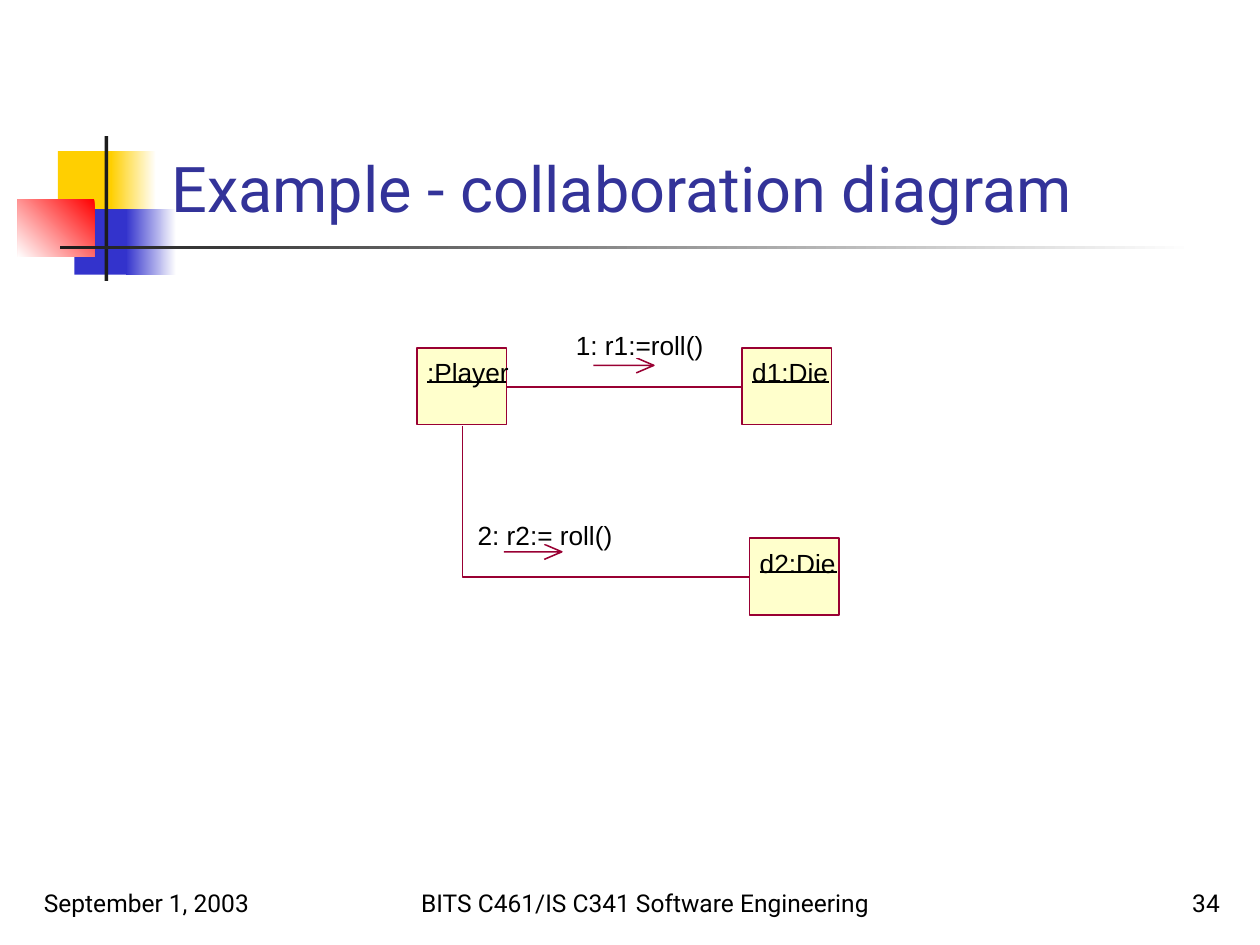
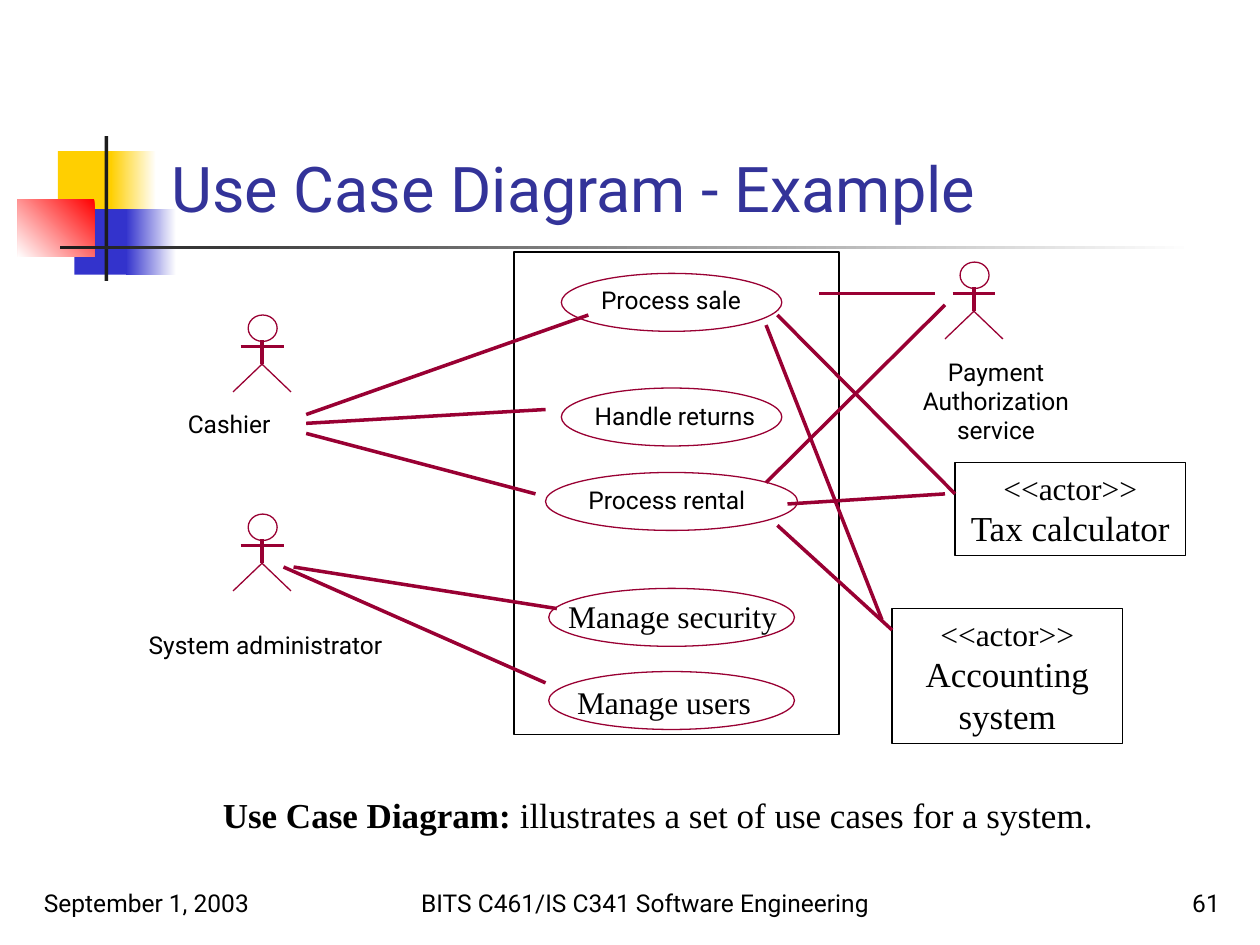
from dataclasses import dataclass

from lxml import etree
from pptx import Presentation
from pptx.dml.color import RGBColor
from pptx.enum.shapes import MSO_CONNECTOR, MSO_SHAPE
from pptx.enum.text import MSO_ANCHOR, MSO_AUTO_SIZE, PP_ALIGN
from pptx.oxml.ns import qn
from pptx.util import Inches, Pt

RECT, OVAL = MSO_SHAPE.RECTANGLE, MSO_SHAPE.OVAL
STRAIGHT = MSO_CONNECTOR.STRAIGHT
LEFT, CENTER, RIGHT = PP_ALIGN.LEFT, PP_ALIGN.CENTER, PP_ALIGN.RIGHT
TOP, BOTTOM = MSO_ANCHOR.TOP, MSO_ANCHOR.BOTTOM
FIXED, GROW = MSO_AUTO_SIZE.NONE, MSO_AUTO_SIZE.SHAPE_TO_FIT_TEXT


@dataclass(frozen=True)
class Theme:
    title: str = "333399"
    text: str = "000000"
    stroke: str = "990033"
    box: str = "FFFFCC"
    paper: str = "FFFFFF"
    yellow: str = "FFCF01"
    blue: str = "3333CC"
    red: str = "FF0000"
    bar: str = "1C1C1C"
    sans: str = "Roboto"
    label: str = "Arial"
    serif: str = "Times New Roman"
    title_size: int = 36
    strong_size: int = 20
    serif_size: int = 18
    label_size: int = 15
    small_size: int = 14
    hairline: float = 0
    frame_line: float = 0.75
    object_line: float = 0.88


T = Theme()

# Shared content: corner ornament (box, fill or gradient with angle) and footers
ORNAMENT = [
    ((0.46, 1.2, 0.48, 0.52), T.yellow),
    ((0.88, 1.2, 0.36, 0.52), (T.paper, T.yellow, 180)),
    ((0.59, 1.66, 0.46, 0.52), T.blue),
    ((1, 1.66, 0.4, 0.52), (T.paper, T.blue, 180)),
    ((0.14, 1.58, 0.61, 0.46), (T.red, T.paper, 225)),
    ((0.83, 1.08, 0.03, 1.15), T.bar),
    ((0.48, 1.95, 9, 0.03), (T.paper, T.bar, 180)),
]
TITLE_BOX = (1.26, 0.92, 8.52, 0.92)
DATE = "September 1, 2003"
COURSE = "BITS C461/IS C341 Software Engineering"

# Collaboration diagram: objects (name, left, top, name width, underline width),
# links as point lists, messages (text, mask, text box, arrow start, arrow length)
OBJECT_W, OBJECT_H = 0.71, 0.61
OBJECTS = [
    (":Player", 3.31, 2.76, 0.66, 0.63),
    ("d1:Die", 5.89, 2.76, 0.63, 0.61),
    ("d2:Die", 5.95, 4.27, 0.63, 0.61),
]
LINKS = [
    [(4.02, 3.07), (5.89, 3.07)],
    [(3.67, 3.38), (3.67, 4.58), (5.95, 4.58)],
]
MESSAGES = [
    ("1: r1:=roll()", (4.5, 2.6, 1.1, 0.24), (4.57, 2.61, 1.05, 0.25), (4.71, 2.9), 0.48),
    ("2: r2:= roll()", (3.75, 4.08, 1.16, 0.24), (3.79, 4.12, 1.11, 0.25), (4, 4.38), 0.46),
]

# Use case diagram
SYSTEM_BOX = (4.08, 2, 2.58, 3.83)
CASE_CENTER, CASE_H = 5.33, 0.46
SANS = dict(font=T.sans, size=T.small_size)
SERIF = dict(font=T.serif, size=T.serif_size)
USE_CASES = [  # name, top, oval width, text box, format
    ("Process sale", 2.17, 1.75, (4.77, 2.26, 1.12, 0.23), dict(SANS, wrap=False)),
    ("Handle returns", 3.08, 1.75, (4.72, 3.18, 1.38, 0.23), dict(SANS, wrap=False)),
    ("Process rental", 3.75, 2, (4.67, 3.85, 1.3, 0.23), dict(SANS, wrap=False)),
    ("Manage security", 4.67, 1.95, (4.51, 4.74, 1.66, 0.3), SERIF),
    ("Manage users", 5.33, 1.95, (4.58, 5.42, 1.66, 0.3), SERIF),
]
ACTORS = [  # name lines, figure centre, head top, label box, alignment
    (["Payment", "Authorization", "service"], 7.73, 2.08, (7.28, 2.83, 1.25, 0.7), CENTER),
    (["System administrator"], 2.08, 4.08, (1.18, 5, 1.97, 0.23), LEFT),
    (["Cashier"], 2.08, 2.5, (1.49, 3.25, 0.69, 0.23), LEFT),
]
SYSTEM_ACTORS = [
    ("Tax calculator", (7.58, 3.67, 1.83, 0.74)),
    ("Accounting system", (7.08, 4.83, 1.83, 1.07)),
]
ASSOCIATIONS = [
    # payment service
    ((7.42, 2.33), (6.5, 2.33)), ((6.08, 3.83), (7.5, 2.42)),
    # cashier
    ((4.67, 2.5), (2.43, 3.29)), ((4.25, 3.92), (2.43, 3.44)), ((4.33, 3.25), (2.43, 3.36)),
    # system administrator
    ((4.42, 4.83), (2.33, 4.5)), ((4.33, 5.42), (2.25, 4.5)),
    # tax calculator and accounting system
    ((7.58, 3.92), (6.17, 2.5)), ((7.5, 3.92), (6.25, 4)),
    ((7.08, 5), (6.17, 4.17)), ((7, 4.92), (6.08, 2.58)),
]
DEFINITION = [("Use Case Diagram:", dict(bold=True)),
              (" illustrates a set of use cases for a system.", {})]


# Drawing helpers
def rgb(value):
    return RGBColor.from_string(value)


def inches(values):
    return [Inches(value) for value in values]


def paint(shape, fill=None, stroke=None, width=T.hairline):
    shape.shadow.inherit = False
    if isinstance(fill, tuple):
        start, end, angle = fill
        shape.fill.gradient()
        shape.fill.gradient_angle = angle
        for stop, color in zip(shape.fill.gradient_stops, (start, end)):
            stop.color.rgb = rgb(color)
    elif fill:
        shape.fill.solid()
        shape.fill.fore_color.rgb = rgb(fill)
    else:
        shape.fill.background()
    if stroke:
        shape.line.color.rgb = rgb(stroke)
        shape.line.width = Pt(width)
    else:
        shape.line.fill.background()
    return shape


def draw(slide, kind, box, **look):
    return paint(slide.shapes.add_shape(kind, *inches(box)), **look)


def outline(slide, points, width=T.hairline):
    start, *rest = [inches(point) for point in points]
    builder = slide.shapes.build_freeform(*start)
    builder.add_line_segments(rest, close=False)
    return paint(builder.convert_to_shape(), stroke=T.stroke, width=width)


def connect(slide, start, end, color=T.stroke, width=T.hairline):
    line = slide.shapes.add_connector(STRAIGHT, *inches(start + end))
    line.line.color.rgb = rgb(color)
    line.line.width = Pt(width)
    etree.SubElement(line._element.spPr, qn("a:effectLst"))


def write(shape, text, font=T.sans, size=T.small_size, color=T.text, align=LEFT,
          anchor=TOP, inset=(0, 0), wrap=True, fit=GROW):
    """Fill a shape; text is a string or a list of paragraphs, each a string or runs."""
    frame = shape.text_frame
    frame.word_wrap, frame.auto_size, frame.vertical_anchor = wrap, fit, anchor
    frame.margin_left = frame.margin_right = Inches(inset[0])
    frame.margin_top = frame.margin_bottom = Inches(inset[1])
    for index, content in enumerate([text] if isinstance(text, str) else text):
        paragraph = frame.add_paragraph() if index else frame.paragraphs[0]
        paragraph.alignment = align
        for words, extra in [(content, {})] if isinstance(content, str) else content:
            run = paragraph.add_run()
            run.text = words
            run.font.name = font
            run.font.size = Pt(extra.get("size", size))
            run.font.bold = extra.get("bold", False)
            run.font.color.rgb = rgb(color)


def label(slide, box, text, **look):
    write(slide.shapes.add_textbox(*inches(box)), text, **look)


PADDED = (0.1, 0.05)


# Shared slide parts
def add_ornament(slide, layout):
    for box, fill in ORNAMENT:
        layout.shapes._spTree.append(draw(slide, RECT, box, fill=fill)._element)


def add_slide(prs, layout, title, number):
    slide = prs.slides.add_slide(layout)
    heading = slide.shapes.title
    heading.left, heading.top, heading.width, heading.height = inches(TITLE_BOX)
    write(heading, title, size=T.title_size, color=T.title, anchor=BOTTOM,
          inset=PADDED, fit=FIXED)
    footers = [(COURSE, 3.08, 4.08, CENTER), (number, 7.7, 2.08, RIGHT), (DATE, 0.25, 2.08, LEFT)]
    for text, left, width, align in footers:
        label(slide, (left, 6.83, width, 0.5), text, align=align, anchor=BOTTOM,
              inset=PADDED, fit=FIXED)
    return slide


# Collaboration diagram
def add_object(slide, name, left, top, name_w, underline_w):
    draw(slide, RECT, (left, top, OBJECT_W, OBJECT_H), fill=T.box,
         stroke=T.stroke, width=T.object_line)
    label(slide, (left + 0.08, top + 0.07, name_w, 0.25), name, font=T.label,
          size=T.label_size, wrap=False)
    connect(slide, (left + 0.08, top + 0.27), (left + 0.08 + underline_w, top + 0.27),
            color=T.text, width=T.object_line)


def add_message(slide, text, mask, text_box, start, length):
    x, y = start
    tip, barb_x = x + length, x + length - 0.14
    outline(slide, [start, (tip, y), (barb_x, y + 0.06)], width=T.object_line)
    connect(slide, (tip, y), (barb_x, y - 0.06), width=T.object_line)
    draw(slide, RECT, mask, fill=T.paper)
    label(slide, text_box, text, font=T.label, size=T.label_size, wrap=False)


def fill_collaboration(slide):
    for item in OBJECTS:
        add_object(slide, *item)
    for message in MESSAGES:
        add_message(slide, *message)
    straight, bent = LINKS
    connect(slide, *straight, width=T.object_line)
    outline(slide, bent, width=T.object_line)


# Use case diagram
def add_actor(slide, name, center, top, label_box, align):
    hip = top + 0.39
    draw(slide, OVAL, (center - 0.11, top, 0.23, 0.21), stroke=T.stroke)
    connect(slide, (center, top + 0.2), (center, hip))
    connect(slide, (center - 0.17, top + 0.25), (center + 0.17, top + 0.25))
    outline(slide, [(center - 0.23, hip + 0.22), (center, hip), (center + 0.23, hip + 0.22)])
    label(slide, label_box, name, align=align, wrap=False)


def fill_use_cases(slide):
    label(slide, (1.67, 6.25, 7.43, 0.44), [DEFINITION], font=T.serif,
          size=T.strong_size, inset=PADDED)
    draw(slide, RECT, SYSTEM_BOX, stroke=T.text, width=T.frame_line)
    for name, top, width, text_box, look in USE_CASES:
        draw(slide, OVAL, (CASE_CENTER - width / 2, top, width, CASE_H), stroke=T.stroke)
        label(slide, text_box, name, **look)
    for actor in ACTORS:
        add_actor(slide, *actor)
    for name, box in SYSTEM_ACTORS:
        frame = draw(slide, RECT, box, stroke=T.text, width=T.frame_line)
        write(frame, ["<<actor>>", [(name, dict(size=T.strong_size))]],
              align=CENTER, inset=PADDED, **SERIF)
    for start, end in ASSOCIATIONS:
        connect(slide, start, end)


def main():
    prs = Presentation()
    prs.slide_width, prs.slide_height = Inches(10), Inches(7.5)
    layout = prs.slide_layouts.get_by_name("Title Only")
    collaboration = add_slide(prs, layout, "Example - collaboration diagram", "34")
    add_ornament(collaboration, layout)
    fill_collaboration(collaboration)
    fill_use_cases(add_slide(prs, layout, "Use Case Diagram - Example", "61"))
    prs.save("out.pptx")


if __name__ == "__main__":
    main()
